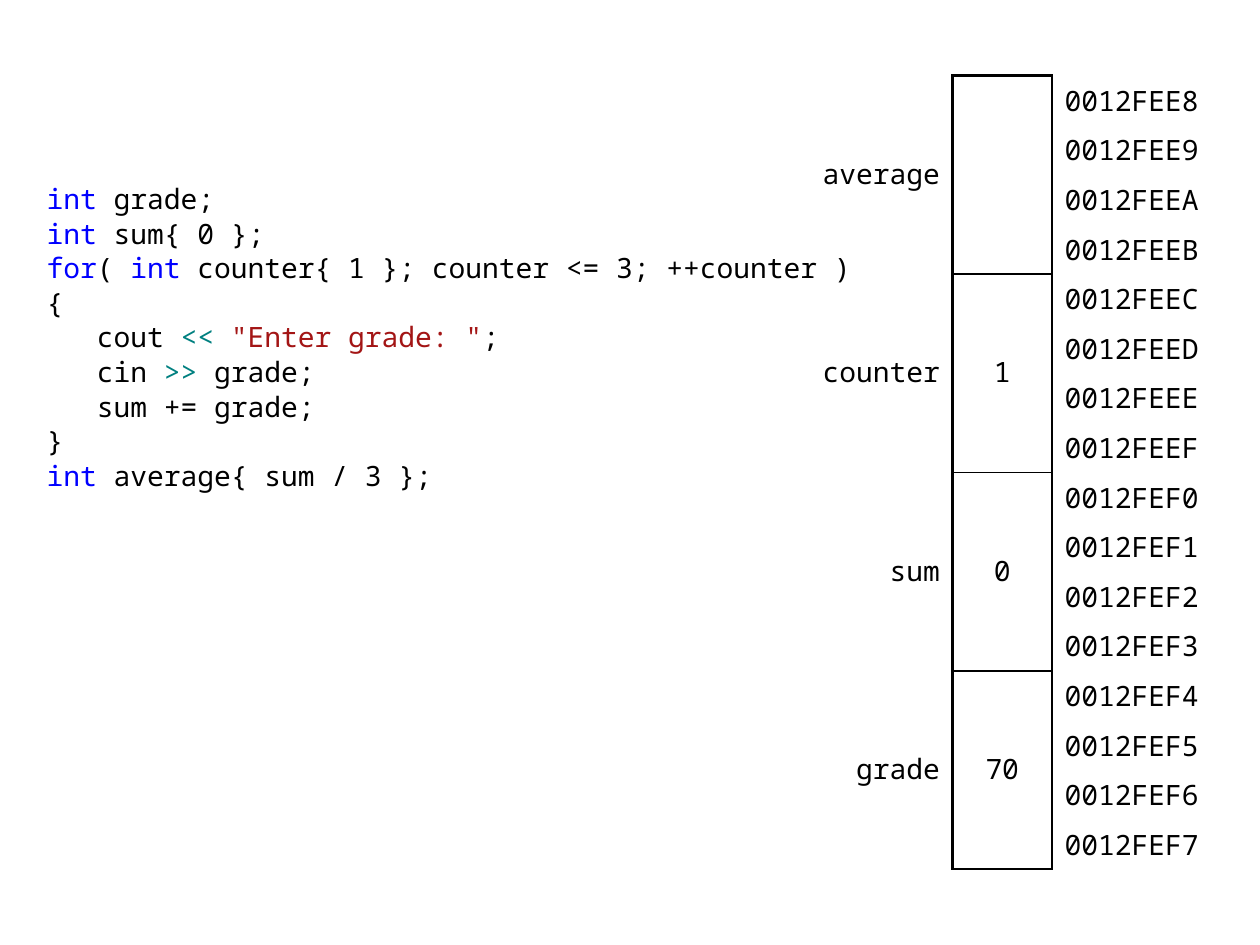
import pptx
import pptx.dml.color
import pptx.enum.text
import pptx.oxml
import pptx.oxml.ns
import pptx.util

Inches, Pt = pptx.util.Inches, pptx.util.Pt
ALIGN = pptx.enum.text.PP_ALIGN
RGBColor = pptx.dml.color.RGBColor

BLACK = RGBColor(0x00, 0x00, 0x00)
KEYWORD = RGBColor(0x00, 0x00, 0xFF)
OPERATOR = RGBColor(0x00, 0x80, 0x80)
STRING = RGBColor(0xA3, 0x15, 0x15)
FONT, FONT_SIZE = "Noto Sans Mono", 16
NO_STYLE_NO_GRID = "{2D5ABB26-0587-4C30-8999-92F81FD0307C}"

CODE = [
    [("int ", KEYWORD), ("grade;", BLACK)],
    [("int ", KEYWORD), ("sum{ 0 };", BLACK)],
    [("for", KEYWORD), ("( ", BLACK), ("int", KEYWORD),
     (" counter{ 1 }; counter <= 3; ++counter )", BLACK)],
    [("{", BLACK)],
    [("   cout ", BLACK), ("<< ", OPERATOR), ('"Enter grade: "', STRING), (";", BLACK)],
    [("   cin ", BLACK), (">>", OPERATOR), (" grade;", BLACK)],
    [("   sum += grade;", BLACK)],
    [("}", BLACK)],
    [("int ", KEYWORD), ("average{ sum / 3 };", BLACK)],
]
VARIABLES = [("average", ""), ("counter", "1"), ("sum", "0"), ("grade", "70")]
FIRST_ADDRESS = 0x0012FEE8
BYTES_PER_VARIABLE = 4
COLUMN_WIDTHS = (1.18, 0.79, 1.38)
TABLE_LEFT, TABLE_TOP, TABLE_HEIGHT = 6.38, 0.6, 6.3
OUTER_LINE, INNER_LINE = 1.5, 1


def format_run(run, color=BLACK):
    run.font.name = FONT
    run.font.size = Pt(FONT_SIZE)
    run.font.color.rgb = color


def add_code(slide):
    slide.shapes.title.element.getparent().remove(slide.shapes.title.element)
    body = slide.placeholders[1]
    body.left, body.top = Inches(0.27), Inches(1.39)
    body.width, body.height = Inches(6.69), Inches(2.95)
    frame = body.text_frame
    frame.word_wrap = True
    frame.auto_size = pptx.enum.text.MSO_AUTO_SIZE.NONE
    for index, line in enumerate(CODE):
        paragraph = frame.add_paragraph() if index else frame.paragraphs[0]
        properties = paragraph._p.get_or_add_pPr()
        properties.set("marL", "0")
        properties.set("indent", "0")
        pptx.oxml.ns.qn("a:buNone")
        properties.append(pptx.oxml.parse_xml(
            f'<a:buNone {pptx.oxml.ns.nsdecls("a")}/>'))
        paragraph.space_before = Pt(0.6 if index else 0)
        for text, color in line:
            run = paragraph.add_run()
            run.text = text
            format_run(run, color)


def set_borders(cell, **widths):
    """Draw black borders; widths in points, keyed L, R, T, B in that order."""
    properties = cell._tc.get_or_add_tcPr()
    for position, (side, width) in enumerate(widths.items()):
        properties.insert(position, pptx.oxml.parse_xml(
            f'<a:ln{side} {pptx.oxml.ns.nsdecls("a")} w="{Pt(width)}">'
            f'<a:solidFill><a:srgbClr val="{BLACK}"/></a:solidFill></a:ln{side}>'))


def fill_cell(cell, text, alignment, side, top, bottom):
    cell.fill.background()
    cell.vertical_anchor = pptx.enum.text.MSO_ANCHOR.MIDDLE
    cell.margin_left = cell.margin_right = Inches(side)
    cell.margin_top, cell.margin_bottom = Inches(top), Inches(bottom)
    paragraph = cell.text_frame.paragraphs[0]
    paragraph.alignment = alignment
    if text:
        paragraph.text = text
        format_run(paragraph.runs[0])


def add_memory_table(slide):
    row_count = len(VARIABLES) * BYTES_PER_VARIABLE
    frame = slide.shapes.add_table(
        row_count, len(COLUMN_WIDTHS), Inches(TABLE_LEFT), Inches(TABLE_TOP),
        Inches(sum(COLUMN_WIDTHS)), Inches(TABLE_HEIGHT))
    table = frame.table
    table.first_row = table.horz_banding = False
    table._tbl.tblPr.find(pptx.oxml.ns.qn("a:tableStyleId")).text = NO_STYLE_NO_GRID
    for column, width in zip(table.columns, COLUMN_WIDTHS):
        column.width = Inches(width)

    for row in range(row_count):
        table.rows[row].height = Inches(TABLE_HEIGHT / row_count)
        variable, byte = divmod(row, BYTES_PER_VARIABLE)
        name, value = VARIABLES[variable] if byte == 0 else ("", "")
        label, box, address = (table.cell(row, column) for column in range(3))
        fill_cell(label, name, ALIGN.RIGHT, 0.1, 0, 0.02)
        fill_cell(box, value, ALIGN.CENTER, 0.08, 0, 0.02)
        fill_cell(address, f"{FIRST_ADDRESS + row:08X}", ALIGN.LEFT, 0.1, 0.04, 0.04)

        edges = {"L": OUTER_LINE, "R": OUTER_LINE}
        if byte == 0:
            edges["T"] = INNER_LINE if variable else OUTER_LINE
            edges["B"] = OUTER_LINE if variable == len(VARIABLES) - 1 else INNER_LINE
        elif byte == BYTES_PER_VARIABLE - 1:
            edges["B"] = OUTER_LINE if row == row_count - 1 else INNER_LINE
        set_borders(label, R=OUTER_LINE)
        set_borders(box, **edges)
        set_borders(address, L=OUTER_LINE)

    for first in range(0, row_count, BYTES_PER_VARIABLE):
        for column in (0, 1):
            last = table.cell(first + BYTES_PER_VARIABLE - 1, column)
            table.cell(first, column).merge(last)


def main():
    presentation = pptx.Presentation()
    presentation.slide_width, presentation.slide_height = Inches(10), Inches(7.5)
    slide = presentation.slides.add_slide(
        presentation.slide_layouts.get_by_name("Title and Content"))
    add_code(slide)
    add_memory_table(slide)
    presentation.save("out.pptx")


if __name__ == "__main__":
    main()
